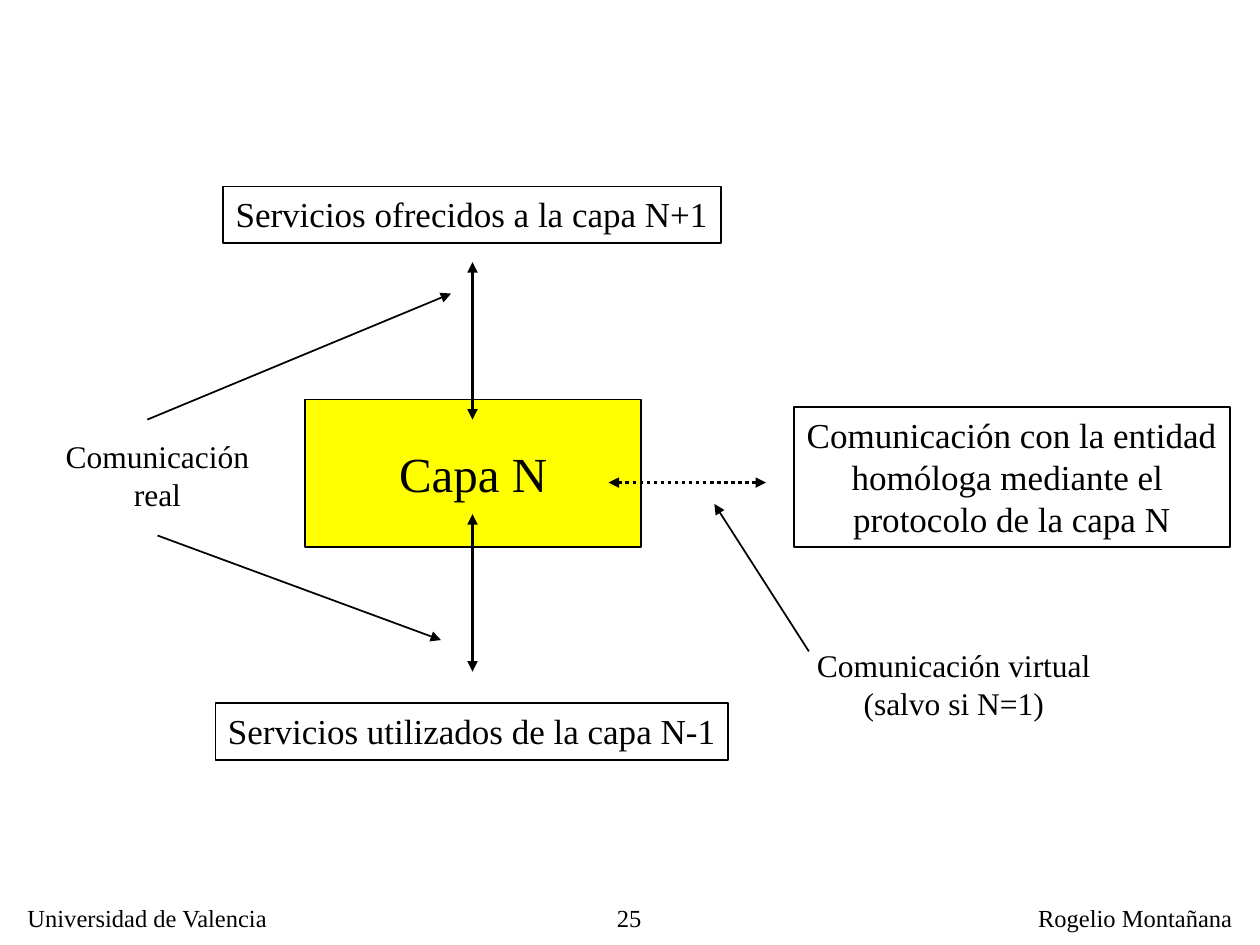
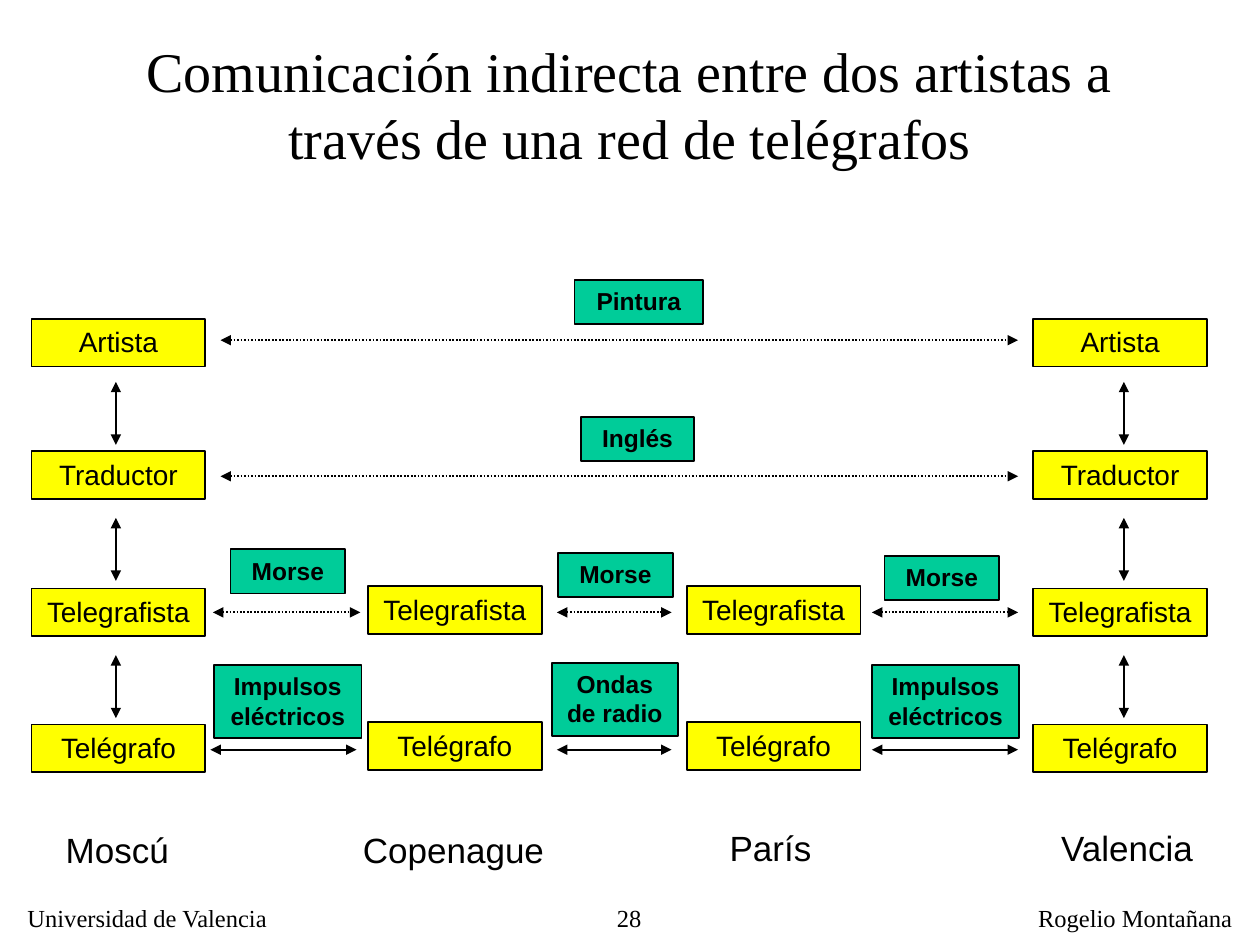
from lxml import etree
from pptx import Presentation
from pptx.dml.color import RGBColor
from pptx.enum.dml import MSO_LINE
from pptx.enum.shapes import MSO_CONNECTOR, MSO_SHAPE
from pptx.enum.text import MSO_ANCHOR, PP_ALIGN
from pptx.oxml.ns import qn
from pptx.util import Inches, Pt

RECTANGLE = MSO_SHAPE.RECTANGLE
STRAIGHT = MSO_CONNECTOR.STRAIGHT
DOTTED = MSO_LINE.ROUND_DOT
LEFT, CENTER, RIGHT = PP_ALIGN.LEFT, PP_ALIGN.CENTER, PP_ALIGN.RIGHT
TOP, MIDDLE = MSO_ANCHOR.TOP, MSO_ANCHOR.MIDDLE

BLACK, YELLOW, GREEN = "000000", "FFFF00", "00CC99"
SERIF, SANS = "Times New Roman", "Arial"

FOOTERS = [
    ("Universidad de Valencia", (0.12, 7.12, 2.13, 0.33)),
    ("Rogelio Montañana", (8.14, 7.12, 1.74, 0.33)),
]
PAGE_NUMBER_AREA = (4.13, 7.12, 1.06, 0.31)

LAYER = ("Capa N", (2.42, 3.17, 2.67, 1.17))
INTERFACES = [
    ("Servicios utilizados de la capa N-1", (1.71, 5.58, 4.07, 0.45)),
    ("Servicios ofrecidos a la capa N+1", (1.77, 1.48, 3.95, 0.45)),
    ("Comunicación con la entidad\nhomóloga mediante el \nprotocolo de la capa N",
     (6.3, 3.23, 3.46, 1.11)),
]
EXPLANATIONS = [
    ("Comunicación virtual\n(salvo si N=1)", (6.38, 5.08, 2.38, 0.7)),
    ("Comunicación\nreal", (0.42, 3.42, 1.66, 0.7)),
]
REAL_LINKS = [((3.75, 4.08), (3.75, 5.33)), ((3.75, 2.08), (3.75, 3.33))]
VIRTUAL_LINK = ((4.83, 3.83), (6.08, 3.83))
POINTERS = [
    ((6.42, 5.17), (5.67, 4)),
    ((1.17, 3.33), (3.58, 2.33)),
    ((1.25, 4.25), (3.5, 5.08)),
]

TITLE = "Comunicación indirecta entre dos artistas a través de una red de telégrafos"
ROLE_TOPS = {"Artista": 2.53, "Traductor": 3.58, "Telegrafista": 4.67, "Telégrafo": 5.75}
ALL_ROLES = list(ROLE_TOPS)
RELAY_ROLES = ALL_ROLES[2:]
ROLE_WIDTH, ROLE_HEIGHT = 1.38, 0.38
CITIES = [
    ("Moscú", (0.42, 6.53, 1.02, 0.43), 0.25, 0, ALL_ROLES),
    ("Copenague", (2.78, 6.53, 1.64, 0.43), 2.92, -0.02, RELAY_ROLES),
    ("París", (5.69, 6.51, 0.85, 0.43), 5.45, -0.02, RELAY_ROLES),
    ("Valencia", (8.31, 6.51, 1.27, 0.43), 8.2, 0, ALL_ROLES),
]
LOCAL_LINK_COLUMNS = (0.92, 8.92)
LOCAL_LINK_TOPS = (3.03, 4.11, 5.2)
LOCAL_LINK_LENGTH = 0.5
PEER_LINKS = {
    2.7: [(1.75, 8.08)],
    3.78: [(1.75, 8.08)],
    4.86: [(1.69, 2.86), (4.42, 5.33), (6.92, 8.08)],
    5.95: [(1.67, 2.83), (4.42, 5.33), (6.92, 8.08)],
}
PHYSICAL_LEVEL = 5.95
LANGUAGES = [
    ("Pintura", (4.56, 2.22, 1.02, 0.35)),
    ("Inglés", (4.61, 3.31, 0.9, 0.35)),
    ("Morse", (1.83, 4.36, 0.91, 0.35)),
    ("Morse", (4.43, 4.39, 0.91, 0.35)),
    ("Morse", (7.02, 4.41, 0.91, 0.35)),
    ("Impulsos\neléctricos", (1.7, 5.28, 1.17, 0.58)),
    ("Ondas de radio", (4.38, 5.26, 1, 0.58)),
    ("Impulsos\neléctricos", (6.92, 5.28, 1.17, 0.58)),
]


def color(value):
    return RGBColor.from_string(value)


def write(slide, text, area, size=14, font=SERIF, bold=False, align=CENTER,
          anchor=TOP, wrap=False, fill=None, outlined=False):
    place = [Inches(length) for length in area]
    if outlined:
        box = slide.shapes.add_shape(RECTANGLE, *place)
        box.shadow.inherit = False
        box.line.color.rgb = color(BLACK)
        box.line.width = Pt(1)
        if fill:
            box.fill.solid()
            box.fill.fore_color.rgb = color(fill)
        else:
            box.fill.background()
    else:
        box = slide.shapes.add_textbox(*place)
    frame = box.text_frame
    frame.word_wrap = wrap
    frame.vertical_anchor = anchor
    frame.text = text
    for paragraph in frame.paragraphs:
        paragraph.alignment = align
        paragraph.font.size = Pt(size)
        paragraph.font.name = font
        paragraph.font.bold = bold
        paragraph.font.color.rgb = color(BLACK)


def arrow(slide, start, end, width=1, dotted=False, both_ways=True):
    points = [Inches(length) for length in (*start, *end)]
    connector = slide.shapes.add_connector(STRAIGHT, *points)
    connector.line.color.rgb = color(BLACK)
    connector.line.width = Pt(width)
    if dotted:
        connector.line.dash_style = DOTTED
    outline = connector.line._get_or_add_ln()
    for tag in ("a:headEnd", "a:tailEnd") if both_ways else ("a:tailEnd",):
        etree.SubElement(outline, qn(tag), type="triangle")
    etree.SubElement(connector._element.spPr, qn("a:effectLst"))


def new_slide(deck, number):
    slide = deck.slides.add_slide(deck.slide_layouts[6])
    for text, area in FOOTERS:
        write(slide, text, area, align=LEFT)
    write(slide, str(number), PAGE_NUMBER_AREA, align=RIGHT, wrap=True)
    return slide


def build_layer_model(deck):
    slide = new_slide(deck, 25)
    write(slide, *LAYER, size=28, anchor=MIDDLE, fill=YELLOW, outlined=True)
    for text, area in INTERFACES:
        write(slide, text, area, size=20, outlined=True)
    for text, area in EXPLANATIONS:
        write(slide, text, area, size=18)
    for start, end in REAL_LINKS:
        arrow(slide, start, end, width=2)
    arrow(slide, *VIRTUAL_LINK, width=2, dotted=True)
    for start, end in POINTERS:
        arrow(slide, start, end, both_ways=False)


def build_telegraph_network(deck):
    slide = new_slide(deck, 28)
    write(slide, TITLE, (0.75, 0.36, 8.5, 0.92), size=32, anchor=MIDDLE, wrap=True)
    for city, city_area, left, shift, roles in CITIES:
        write(slide, city, city_area, size=20, font=SANS)
        for role in roles:
            area = (left, ROLE_TOPS[role] + shift, ROLE_WIDTH, ROLE_HEIGHT)
            write(slide, role, area, size=16, font=SANS, wrap=True,
                  fill=YELLOW, outlined=True)
    for x in LOCAL_LINK_COLUMNS:
        for top in LOCAL_LINK_TOPS:
            arrow(slide, (x, top), (x, top + LOCAL_LINK_LENGTH))
    for level, spans in PEER_LINKS.items():
        for left, right in spans:
            arrow(slide, (left, level), (right, level), dotted=level != PHYSICAL_LEVEL)
    for language, area in LANGUAGES:
        write(slide, language, area, font=SANS, bold=True, wrap=True,
              fill=GREEN, outlined=True)


def main():
    deck = Presentation()
    deck.slide_width, deck.slide_height = Inches(10), Inches(7.5)
    build_layer_model(deck)
    build_telegraph_network(deck)
    deck.save("out.pptx")


if __name__ == "__main__":
    main()
